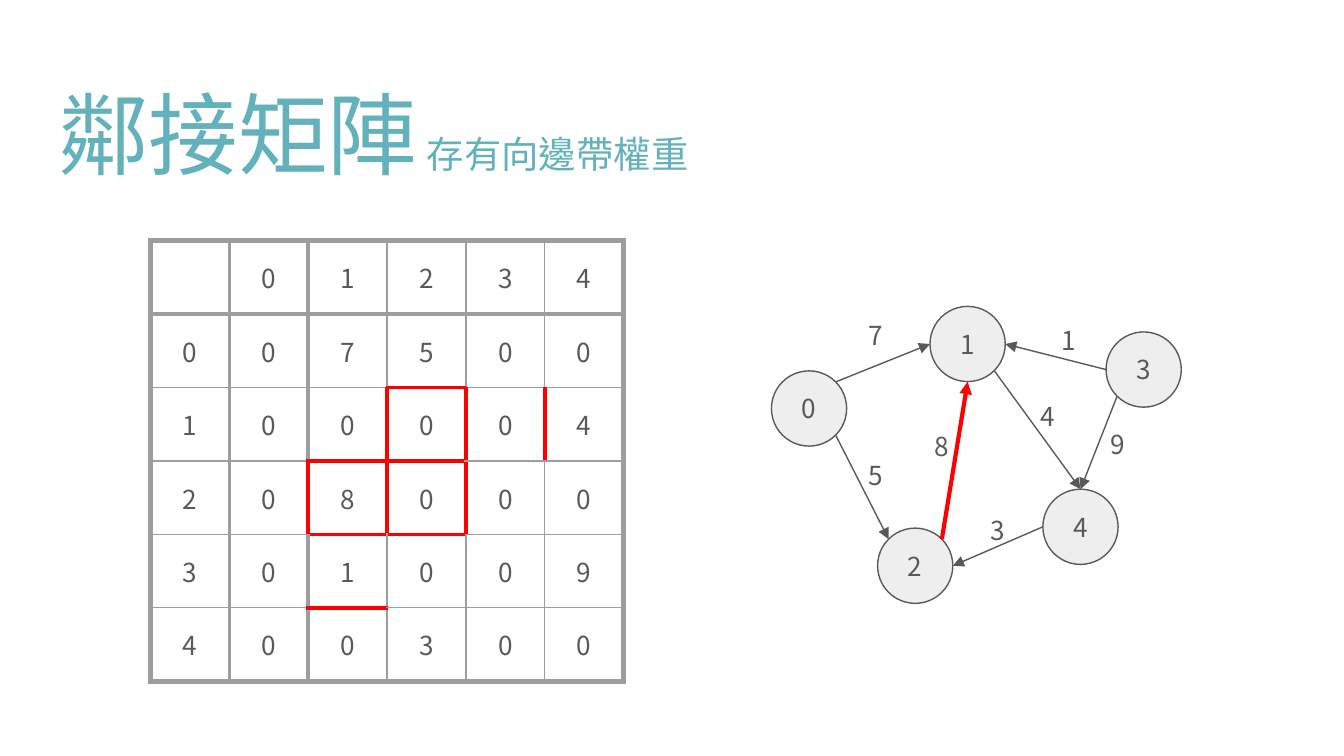
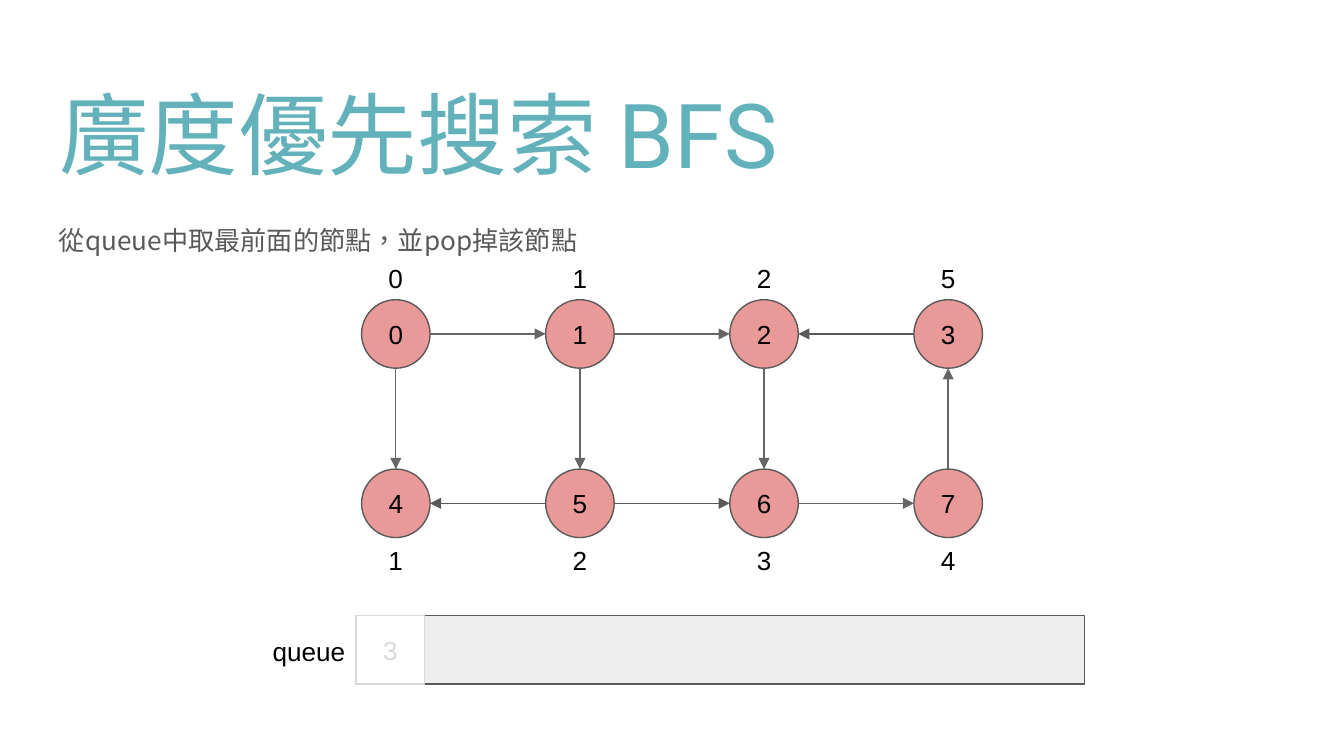
from dataclasses import dataclass
from math import cos, radians, sin

from lxml import etree
from pptx import Presentation
from pptx.dml.color import RGBColor
from pptx.enum import shapes, text
from pptx.oxml.ns import qn
from pptx.util import Inches, Pt

COLORS = {
    "title": "63B2BB",
    "ink": "595959",
    "arrow": "666666",
    "black": "000000",
    "white": "FFFFFF",
    "pale": "EEEEEE",
    "visited": "EA9999",
    "popped": "D9D9D9",
    "grid": "9E9E9E",
    "highlight": "FF0000",
}
CJK = "Noto Sans CJK TC"
LATIN = "Arial"
TITLE_FONT = "Roboto"
LEFT, CENTER = text.PP_ALIGN.LEFT, text.PP_ALIGN.CENTER
TOP, MIDDLE = text.MSO_ANCHOR.TOP, text.MSO_ANCHOR.MIDDLE
ANGLES = {"right": 0, "bottom right": 45, "bottom": 90, "bottom left": 135,
          "left": 180, "top left": 225, "top": 270, "top right": 315}


@dataclass(frozen=True)
class Node:
    label: str
    left: float
    top: float
    size: float

    def site(self, side: str) -> tuple[float, float]:
        angle, radius = radians(ANGLES[side]), self.size / 2
        return (self.left + radius * (1 + cos(angle)),
                self.top + radius * (1 + sin(angle)))


@dataclass(frozen=True)
class Edge:
    start: int
    start_side: str
    end: int
    end_side: str
    color: str = "ink"
    weight: float = 0.75


@dataclass(frozen=True)
class EdgeLabel:
    value: str
    left: float
    top: float


def rgb(name: str) -> RGBColor:
    return RGBColor.from_string(COLORS[name])


def write(frame, content: str, *, size: float = 14, font: str = CJK, color: str = "ink",
          align=CENTER, anchor=TOP) -> None:
    frame.word_wrap = True
    frame.vertical_anchor = anchor
    frame.margin_left = frame.margin_right = Inches(0.1)
    frame.margin_top = frame.margin_bottom = Inches(0.1)
    paragraph = frame.paragraphs[0]
    paragraph.alignment = align
    run = paragraph.add_run()
    run.text = content
    run.font.size = Pt(size)
    run.font.name = font
    run.font.color.rgb = rgb(color)
    run.font._element.set("lang", "zh-TW")
    etree.SubElement(run.font._element, qn("a:ea"), typeface=font)


def add_label(slide, content: str, left: float, top: float, width: float, height: float,
              **style) -> None:
    box = slide.shapes.add_textbox(Inches(left), Inches(top), Inches(width), Inches(height))
    write(box.text_frame, content, **style)


def add_title(slide, main: str, detail: str = "") -> None:
    title = slide.shapes.title
    title.left, title.top = Inches(0.34), Inches(0.49)
    title.width, title.height = Inches(9.32), Inches(0.99)
    frame = title.text_frame
    frame.auto_size = text.MSO_AUTO_SIZE.NONE
    style = dict(font=TITLE_FONT, color="title", align=LEFT)
    write(frame, main, size=48, **style)
    if detail:
        write(frame, detail, size=20, **style)


def add_block(slide, kind, left: float, top: float, width: float, height: float,
              fill: str, line: str, content: str = "", **style) -> None:
    block = slide.shapes.add_shape(kind, Inches(left), Inches(top), Inches(width), Inches(height))
    block.shadow.inherit = False
    block.fill.solid()
    block.fill.fore_color.rgb = rgb(fill)
    block.line.color.rgb = rgb(line)
    block.line.width = Pt(0.75)
    if content:
        write(block.text_frame, content, anchor=MIDDLE, **style)


def add_node(slide, node: Node, fill: str, **style) -> None:
    add_block(slide, shapes.MSO_SHAPE.OVAL, node.left, node.top, node.size, node.size,
              fill, "ink", node.label, **style)


def add_edge(slide, nodes: list[Node], edge: Edge) -> None:
    start = nodes[edge.start].site(edge.start_side)
    end = nodes[edge.end].site(edge.end_side)
    arrow = slide.shapes.add_connector(shapes.MSO_CONNECTOR.STRAIGHT,
                                       *(Inches(value) for value in start + end))
    arrow.line.color.rgb = rgb(edge.color)
    arrow.line.width = Pt(edge.weight)
    etree.SubElement(arrow.line._get_or_add_ln(), qn("a:tailEnd"), type="triangle")
    etree.SubElement(arrow._element.spPr, qn("a:effectLst"))


def add_border(cell, side: str, color: str, weight: float) -> None:
    border = etree.SubElement(cell._tc.get_or_add_tcPr(), qn(f"a:ln{side}"), w=str(Pt(weight)))
    fill = etree.SubElement(border, qn("a:solidFill"))
    etree.SubElement(fill, qn("a:srgbClr"), val=COLORS[color])


def border_weight(side: str, row: int, column: int, last: int) -> float:
    rule = (column if side in "LR" else row) + (side in "RB")
    if rule in (0, last + 1):
        return 3
    return 2.25 if rule == 1 or (rule == 2 and side in "LR") else 0.75


def add_matrix(slide, weights: list[str], red_sides: dict[tuple[int, int], str]) -> None:
    count = len(weights)
    rows = [["", *map(str, range(count))]]
    rows += [[str(index), *values] for index, values in enumerate(weights)]
    matrix = slide.shapes.add_table(count + 1, count + 1, Inches(1.12), Inches(1.79),
                                    Inches(3.52), Inches(3.28)).table
    matrix.first_row = matrix.horz_banding = False
    for row, values in enumerate(rows):
        for column, value in enumerate(values):
            cell = matrix.cell(row, column)
            for side in "LRTB":
                if side in red_sides.get((row, column), ""):
                    add_border(cell, side, "highlight", 2.25)
                else:
                    add_border(cell, side, "grid", border_weight(side, row, column, count))
            cell.fill.background()
            cell.margin_left = cell.margin_right = Inches(0.1)
            cell.margin_top = cell.margin_bottom = Inches(0.1)
            if value:
                write(cell.text_frame, value)
                cell.vertical_anchor = MIDDLE


def build_adjacency(slide) -> None:
    places = [(5.74, 2.76), (6.92, 2.28), (6.53, 3.93), (8.23, 2.47), (7.76, 3.64)]
    nodes = [Node(str(index), *place, 0.56) for index, place in enumerate(places)]
    edge_labels = [
        EdgeLabel("8", 6.65, 3.1), EdgeLabel("3", 7.07, 3.73), EdgeLabel("4", 7.44, 2.88),
        EdgeLabel("1", 7.6, 2.31), EdgeLabel("9", 7.96, 3.09), EdgeLabel("5", 6.16, 3.32),
    ]
    upper_label = EdgeLabel("7", 6.16, 2.28)
    edges = [
        Edge(0, "top right", 1, "left"),
        Edge(0, "bottom right", 2, "top left"),
        Edge(2, "top right", 1, "bottom", "highlight", 2.25),
        Edge(4, "left", 2, "right"),
        Edge(1, "bottom right", 4, "top"),
        Edge(3, "bottom left", 4, "top"),
        Edge(3, "left", 1, "right"),
    ]
    red_sides = {(1, 3): "B", (2, 2): "RB", (2, 3): "LRTB", (2, 4): "LR", (2, 5): "L",
                 (3, 1): "R", (3, 2): "LRTB", (3, 3): "LRTB", (3, 4): "L",
                 (4, 2): "TB", (4, 3): "T", (5, 2): "T"}
    for label in edge_labels:
        add_label(slide, label.value, label.left, label.top, 0.71, 0.48)
    add_title(slide, "鄰接矩陣", " 存有向邊帶權重")
    for index in (0, 2, 4, 1, 3):
        add_node(slide, nodes[index], "pale")
    add_matrix(slide, ["07500", "00004", "08000", "01009", "00300"], red_sides)
    add_label(slide, upper_label.value, upper_label.left, upper_label.top, 0.71, 0.48)
    for edge in edges:
        add_edge(slide, nodes, edge)


def build_bfs(slide) -> None:
    add_title(slide, "廣度優先搜索 BFS")
    size = 0.51
    plain = dict(font=LATIN, color="black")
    nodes = [Node(str(index), 2.69 + 1.37 * (index % 4), (2.23, 3.49)[index // 4], size)
             for index in range(8)]
    edges = [
        Edge(0, "right", 1, "left", "arrow"),
        Edge(1, "bottom", 5, "top", "arrow"),
        Edge(5, "left", 4, "right"),
        Edge(1, "right", 2, "left", "arrow"),
        Edge(3, "left", 2, "right"),
        Edge(5, "right", 6, "left"),
        Edge(6, "right", 7, "left", "arrow"),
        Edge(7, "top", 3, "bottom", "arrow"),
        Edge(2, "bottom", 6, "top", "arrow"),
        Edge(0, "bottom", 4, "top", "arrow"),
    ]
    for index in (0, 1, 4, 5, 6, 2, 7, 3):
        add_node(slide, nodes[index], "visited", **plain)
    for edge in edges:
        add_edge(slide, nodes, edge)
    queue_left, queue_top = 2.65, 4.58
    add_block(slide, shapes.MSO_SHAPE.RECTANGLE, queue_left, queue_top, 5.42, size, "pale", "ink")
    add_label(slide, "queue", 1.93, 4.63, 0.86, 0.42, align=LEFT, **plain)
    for index, (node, distance) in enumerate(zip(nodes, "01251234")):
        add_label(slide, distance, node.left + size / 2 - 0.4, (1.91, 4.01)[index // 4],
                  0.8, 0.32, anchor=MIDDLE, **plain)
    add_label(slide, "從queue中取最前面的節點，並pop掉該節點", 0.34, 1.57, 6, 0.66, align=LEFT)
    add_block(slide, shapes.MSO_SHAPE.RECTANGLE, queue_left, queue_top, size, size,
              "white", "popped", "3", font=LATIN, color="popped")


def main() -> None:
    deck = Presentation()
    deck.slide_width = Inches(10)
    deck.slide_height = deck.slide_width * 9 // 16
    for build in (build_adjacency, build_bfs):
        build(deck.slides.add_slide(deck.slide_layouts[5]))
    deck.save("out.pptx")


if __name__ == "__main__":
    main()
